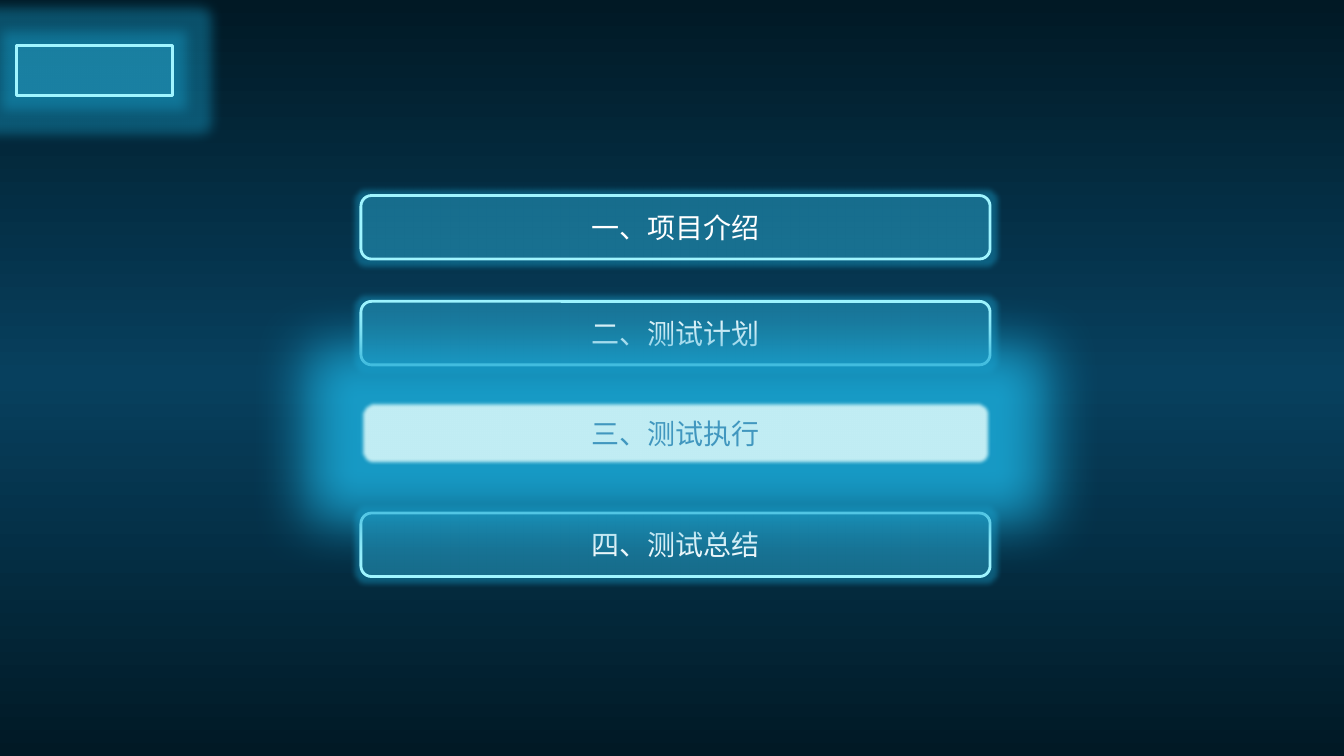
from lxml.etree import SubElement
from pptx import Presentation
from pptx.dml.color import RGBColor
from pptx.enum.shapes import MSO_SHAPE
from pptx.enum.text import MSO_ANCHOR, PP_ALIGN
from pptx.oxml.ns import qn
from pptx.util import Inches, Pt

NIGHT = RGBColor(0x01, 0x19, 0x25)
DEEP_BLUE = RGBColor(0x07, 0x40, 0x5E)
CYAN = RGBColor(0x45, 0xB1, 0xD2)
EDGE = RGBColor(0xA0, 0xF5, 0xFF)
GLOW = RGBColor(0x19, 0xA5, 0xD2)
PALE = RGBColor(0xE5, 0xFF, 0xFE)
ACTIVE_TEXT = RGBColor(0x41, 0x97, 0xBF)
WHITE = RGBColor(0xFF, 0xFF, 0xFF)
FONT = "Noto Sans CJK SC"


def add_alpha(color, percent):
    SubElement(color, qn("a:alpha"), val=str(percent * 1000))


def add_color(parent, color):
    return SubElement(parent, qn("a:srgbClr"), val=str(color))


def write_text(frame, text, size=20, color=WHITE, align=PP_ALIGN.CENTER):
    frame.word_wrap = True
    frame.vertical_anchor = MSO_ANCHOR.MIDDLE
    paragraph = frame.paragraphs[0]
    paragraph.alignment = align
    run = paragraph.add_run()
    run.text = text
    run.font.size = Pt(size)
    run.font.color.rgb = color
    run.font.name = FONT
    SubElement(run.font._element, qn("a:ea"), typeface=FONT)


class GlowSlide:
    def __init__(self, presentation):
        self.slide = presentation.slides.add_slide(presentation.slide_layouts[6])

    def backdrop(self, width, height):
        backdrop = self.slide.shapes.add_shape(MSO_SHAPE.RECTANGLE, 0, 0, width, height)
        backdrop.shadow.inherit = False
        backdrop.line.fill.background()
        backdrop.fill.gradient()
        backdrop.fill.gradient_angle = 90
        stops = backdrop._element.spPr.find(qn("a:gradFill")).find(qn("a:gsLst"))
        stops.clear()
        for position, color in ((0, NIGHT), (50, DEEP_BLUE), (100, NIGHT)):
            add_color(SubElement(stops, qn("a:gs"), pos=str(position * 1000)), color)

    def panel(self, kind, left, top, width, height, fill=CYAN, opacity=20,
              edge=EDGE, glow=7, glow_opacity=40, soft_edge=0):
        panel = self.slide.shapes.add_shape(
            kind, Inches(left), Inches(top), Inches(width), Inches(height))
        panel.fill.solid()
        panel.fill.fore_color.rgb = fill
        properties = panel._element.spPr
        add_alpha(properties.find(qn("a:solidFill")).find(qn("a:srgbClr")), opacity)
        if edge is None:
            panel.line.fill.background()
        else:
            panel.line.color.rgb = edge
            panel.line.width = Pt(2)
        panel.shadow.inherit = False
        effects = properties.find(qn("a:effectLst"))
        halo = SubElement(effects, qn("a:glow"), rad=str(Pt(glow)))
        add_alpha(add_color(halo, GLOW), glow_opacity)
        if soft_edge:
            SubElement(effects, qn("a:softEdge"), rad=str(Pt(soft_edge)))
        return panel

    def agenda_item(self, text, top, color=WHITE, **style):
        item = self.panel(MSO_SHAPE.ROUNDED_RECTANGLE, 3.58, top, 6.24, 0.63, **style)
        write_text(item.text_frame, text, color=color)


def main():
    presentation = Presentation()
    presentation.slide_width = Inches(13.33)
    presentation.slide_height = Inches(7.5)
    agenda = GlowSlide(presentation)
    agenda.backdrop(presentation.slide_width, presentation.slide_height)
    agenda.panel(MSO_SHAPE.RECTANGLE, 0.16, 0.45, 1.55, 0.5, glow=18)
    for row, text in ((0, "一、项目介绍"), (1, "二、测试计划"), (3, "四、测试总结")):
        agenda.agenda_item(text, 1.94 + 1.05 * row)
    agenda.agenda_item("三、测试执行", 3.98, color=ACTIVE_TEXT, fill=PALE, opacity=83,
                       edge=None, glow=80, glow_opacity=90, soft_edge=2.5)
    presentation.save("out.pptx")


if __name__ == "__main__":
    main()
